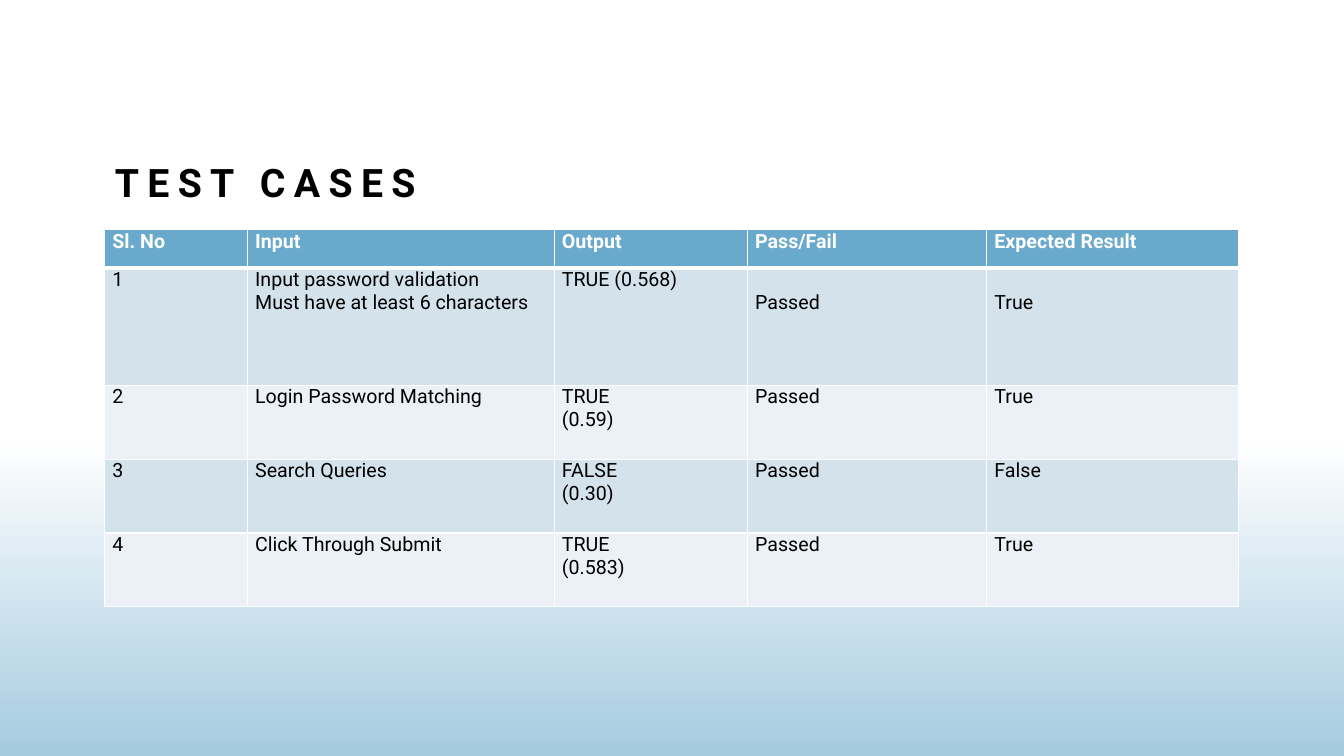
from dataclasses import dataclass

from lxml.etree import SubElement
from pptx import Presentation
from pptx.dml.color import RGBColor
from pptx.enum.shapes import MSO_SHAPE
from pptx.enum.text import MSO_ANCHOR, MSO_AUTO_SIZE, PP_ALIGN
from pptx.oxml.ns import qn
from pptx.util import Cm, Pt

TITLE = "TEST CASES"
HEADS = ["Sl. No", "Input", "Output", "Pass/Fail", "Expected Result"]
CASES = [
    ["1", "Input password validation\nMust have at least 6 characters",
     "TRUE (0.568)", "Passed", "True"],
    ["2", "Login Password Matching", "TRUE\n(0.59)", "Passed", "True"],
    ["3", "Search Queries", "FALSE\n(0.30)", "Passed", "False"],
    ["4", "Click Through Submit", "TRUE\n(0.583)", "Passed", "True"],
]
LOWERED = {(1, 3), (1, 4)}  # cells that start one line down

WIDTHS = [3.6, 7.73, 4.87, 6.03, 6.35]
HEIGHTS = [0.96, 2.96, 1.86, 1.86, 1.86]
LEFT, WIDTH = 2.64, 28.58
LINE = 0.59


@dataclass(frozen=True)
class Theme:
    font: str = "Roboto"
    ink: str = "000000"
    paper: str = "FFFFFF"
    glow: str = "A5CBE0"
    head: str = "69A9CB"
    bands: tuple = ("D4E2EC", "EBF1F6")
    title: int = 28
    body: int = 14


THEME = Theme()


def color(code):
    return RGBColor.from_string(code)


def style(run, size, code, bold):
    font = run.font
    font.name, font.size, font.bold = THEME.font, Pt(size), bold
    font.color.rgb = color(code)


def add_glow(slide):
    glow = slide.shapes.add_shape(
        MSO_SHAPE.RECTANGLE, 0, Cm(9.75), Cm(33.87), Cm(9.3))
    glow.shadow.inherit = False
    glow.line.fill.background()
    glow.fill.gradient()
    glow.fill.gradient_angle = 270
    stops = zip(glow.fill.gradient_stops, (0.14, 1), (THEME.paper, THEME.glow))
    for stop, place, code in stops:
        stop.position = place
        stop.color.rgb = color(code)
    slide.shapes._spTree.insert(2, glow._element)


def add_title(slide):
    title = slide.shapes.title
    title.left, title.top = Cm(LEFT), Cm(2.11)
    title.width, title.height = Cm(WIDTH), Cm(3.2)
    frame = title.text_frame
    frame.text = TITLE
    frame.auto_size = MSO_AUTO_SIZE.NONE
    frame.vertical_anchor = MSO_ANCHOR.BOTTOM
    para = frame.paragraphs[0]
    para.alignment, para.line_spacing = PP_ALIGN.LEFT, 1.2
    run = para.runs[0]
    style(run, THEME.title, THEME.ink, True)
    run._r.get_or_add_rPr().set("spc", "600")


def add_edges(cell, row):
    """Draw white cell borders, thick between the head and the first case."""
    props = cell._tc.get_or_add_tcPr()
    thick = {(0, "lnB"), (1, "lnT")}
    for side in ("lnL", "lnR", "lnT", "lnB"):
        size = Pt(3 if (row, side) in thick else 1)
        edge = SubElement(props, qn(f"a:{side}"), w=str(size))
        fill = SubElement(edge, qn("a:solidFill"))
        SubElement(fill, qn("a:srgbClr"), val=THEME.paper)


def fill_cell(cell, text, row, col):
    head = row == 0
    cell.text = text
    cell.margin_left = cell.margin_right = Cm(0.19)
    cell.margin_top = Cm(LINE if (row, col) in LOWERED else 0)
    cell.margin_bottom = 0
    cell.vertical_anchor = MSO_ANCHOR.TOP
    add_edges(cell, row)
    cell.fill.solid()
    cell.fill.fore_color.rgb = color(
        THEME.head if head else THEME.bands[(row - 1) % 2])
    for para in cell.text_frame.paragraphs:
        for run in para.runs:
            style(run, THEME.body, THEME.paper if head else THEME.ink, head)


def add_cases(slide):
    rows = [HEADS, *CASES]
    table = slide.shapes.add_table(
        len(rows), len(HEADS), Cm(LEFT), Cm(5.79),
        Cm(WIDTH), Cm(sum(HEIGHTS))).table
    for col, width in zip(table.columns, WIDTHS):
        col.width = Cm(width)
    for row, height in zip(table.rows, HEIGHTS):
        row.height = Cm(height)
    for r, texts in enumerate(rows):
        for c, text in enumerate(texts):
            fill_cell(table.cell(r, c), text, r, c)


def main():
    deck = Presentation()
    deck.slide_width, deck.slide_height = Cm(33.87), Cm(19.05)
    slide = deck.slides.add_slide(deck.slide_layouts[5])
    slide.background.fill.solid()
    slide.background.fill.fore_color.rgb = color(THEME.paper)
    add_glow(slide)
    add_title(slide)
    add_cases(slide)
    deck.save("out.pptx")


if __name__ == "__main__":
    main()
